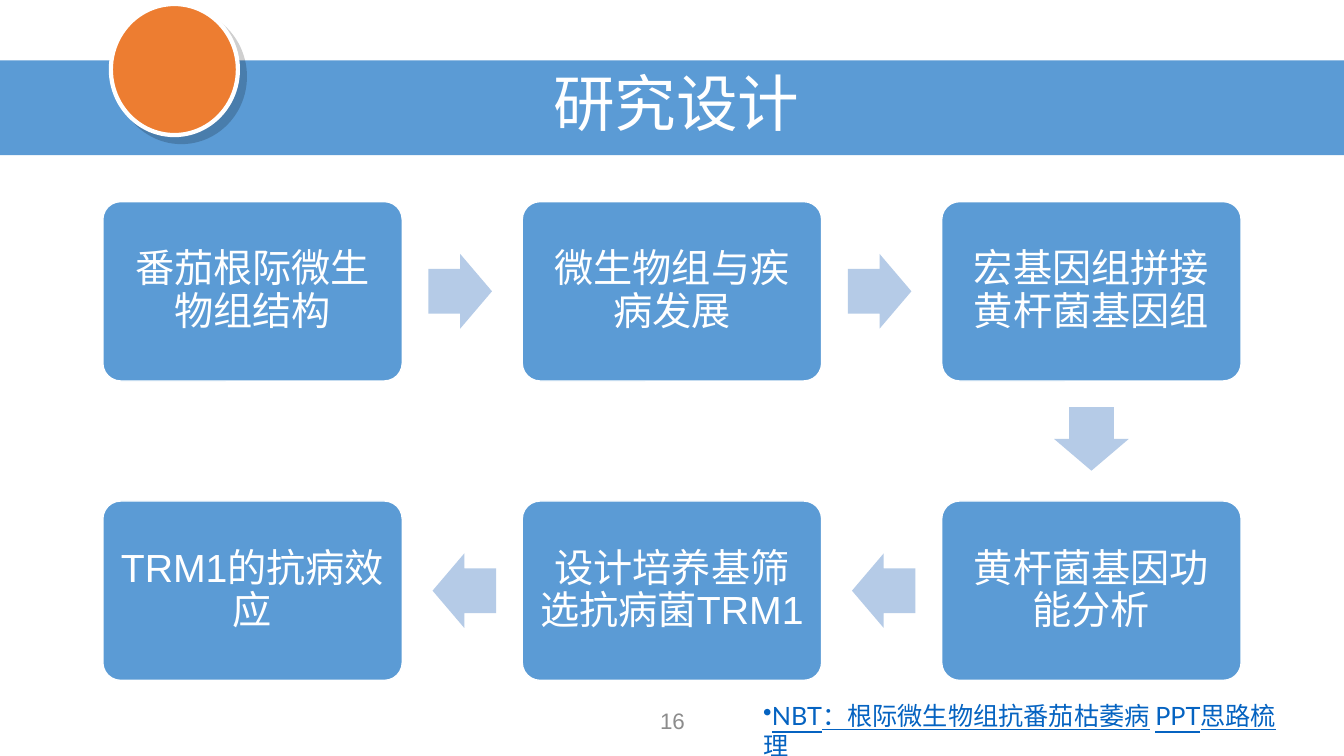
from lxml import etree
from pptx import Presentation
from pptx.dml.color import RGBColor
from pptx.enum.shapes import MSO_SHAPE
from pptx.enum.text import MSO_ANCHOR, MSO_AUTO_SIZE, PP_ALIGN
from pptx.oxml import parse_xml
from pptx.oxml.ns import nsdecls, qn
from pptx.util import Inches, Pt

RECTANGLE, ELLIPSE = MSO_SHAPE.RECTANGLE, MSO_SHAPE.OVAL
ROUNDED, ARROW = MSO_SHAPE.ROUNDED_RECTANGLE, MSO_SHAPE.RIGHT_ARROW
MIDDLE, CENTER = MSO_ANCHOR.MIDDLE, PP_ALIGN.CENTER
GROW = MSO_AUTO_SIZE.SHAPE_TO_FIT_TEXT

BLUE = RGBColor(0x5B, 0x9B, 0xD5)
PALE_BLUE = RGBColor(0xB5, 0xCB, 0xE7)
ORANGE = RGBColor(0xED, 0x7D, 0x31)
WHITE = RGBColor(0xFF, 0xFF, 0xFF)
GREY = RGBColor(0x8C, 0x8C, 0x8C)
DARK = RGBColor(0x24, 0x29, 0x2E)
LINK_BLUE = RGBColor(0x05, 0x63, 0xC1)

WIDTH, HEIGHT = 13.33, 7.5
STEP_WIDTH, STEP_HEIGHT = 2.97, 1.78
ARROW_LENGTH, ARROW_BREADTH, ARROW_GAP = 0.63, 0.74, 0.26
ROTATION = {(1, 0): 0, (0, 1): 90, (-1, 0): 180}
STEPS = [
    ("番茄根际微生物组结构", 0, 0),
    ("微生物组与疾病发展", 1, 0),
    ("宏基因组拼接黄杆菌基因组", 2, 0),
    ("黄杆菌基因功能分析", 2, 1),
    ("设计培养基筛选抗病菌TRM1", 1, 1),
    ("TRM1的抗病效应", 0, 1),
]
LINK_SPANS = [
    ("NBT：根际微生物组抗番茄枯萎病", LINK_BLUE, True),
    (" ", DARK, False),
    ("PPT思路梳理", LINK_BLUE, True),
]


def add_figure(page, kind, box, fill, line_width=0):
    shape = page.shapes.add_shape(kind, *map(Inches, box))
    shape.shadow.inherit = False
    shape.fill.solid()
    shape.fill.fore_color.rgb = fill
    if line_width:
        shape.line.color.rgb = WHITE
        shape.line.width = Pt(line_width)
    else:
        shape.line.fill.background()
    return shape


def write_centered(shape, text, size, color, spacing=1.0):
    frame = shape.text_frame
    frame.word_wrap = True
    frame.vertical_anchor = MIDDLE
    frame.text = text
    para = frame.paragraphs[0]
    para.alignment = CENTER
    para.line_spacing = spacing
    para.font.size = Pt(size)
    para.font.name = "Arial"
    para.font.color.rgb = color


def add_header(page, left, top, width, height):
    add_figure(page, RECTANGLE, (left, top, width, height), BLUE)
    badge = add_figure(page, ELLIPSE, (left + 1.1, top - 0.56, 1.26, 1.3), ORANGE, 3)
    effects = badge._element.spPr.find(qn("a:effectLst"))
    effects.append(parse_xml(
        f'<a:outerShdw {nsdecls("a")} blurRad="0" dist="{Pt(7.1)}" dir="2700000" '
        'algn="tl" rotWithShape="0"><a:srgbClr val="000000">'
        '<a:alpha val="19000"/></a:srgbClr></a:outerShdw>'))
    title = page.shapes.add_textbox(
        Inches(left + 0.96), Inches(top - 0.12), Inches(11.5), Inches(1.16))
    write_centered(title, "研究设计", 44, WHITE, 0.9)


def add_step(page, text, left, top):
    step = add_figure(page, ROUNDED, (left, top, STEP_WIDTH, STEP_HEIGHT), BLUE, 1)
    step.adjustments[0] = 0.1
    frame = step.text_frame
    frame.margin_left = frame.margin_right = Inches(0.12)
    frame.margin_top = frame.margin_bottom = Inches(0.12)
    write_centered(step, text, 28, WHITE, 0.9)


def add_flow_arrow(page, left, top, direction):
    across, down = direction
    reach = ARROW_GAP + ARROW_LENGTH / 2
    center_x = left + STEP_WIDTH / 2 + across * (STEP_WIDTH / 2 + reach)
    center_y = top + STEP_HEIGHT / 2 + down * (STEP_HEIGHT / 2 + reach)
    box = (center_x - ARROW_LENGTH / 2, center_y - ARROW_BREADTH / 2,
           ARROW_LENGTH, ARROW_BREADTH)
    arrow = add_figure(page, ARROW, box, PALE_BLUE)
    arrow.adjustments[0] = 0.6
    arrow.adjustments[1] = 0.5
    arrow.rotation = ROTATION[direction]


def add_flow(page, left, top, width, height):
    column_pitch = (width - STEP_WIDTH) / 2
    row_pitch = height - STEP_HEIGHT
    for index, (text, column, row) in enumerate(STEPS):
        step_left = left + column * column_pitch
        step_top = top + row * row_pitch
        add_step(page, text, step_left, step_top)
        if index + 1 < len(STEPS):
            following = STEPS[index + 1]
            direction = (following[1] - column, following[2] - row)
            add_flow_arrow(page, step_left, step_top, direction)


def add_footer(page, left, top, width, height):
    number = page.shapes.add_textbox(
        Inches(left), Inches(top), Inches(4.5), Inches(height))
    write_centered(number, "16", 16, GREY)
    link = page.shapes.add_textbox(
        Inches(left + width - 5.44), Inches(top - 0.05), Inches(5.44), Inches(height))
    frame = link.text_frame
    frame.word_wrap = True
    frame.auto_size = GROW
    para = frame.paragraphs[0]
    bullet = etree.SubElement(para._p.get_or_add_pPr(), qn("a:buChar"))
    bullet.set("char", "•")
    for text, color, underline in LINK_SPANS:
        span = para.add_run()
        span.text = text
        span.font.size = Pt(18)
        span.font.name = "Lato"
        span.font.color.rgb = color
        span.font.underline = underline


def main():
    deck = Presentation()
    deck.slide_width, deck.slide_height = Inches(WIDTH), Inches(HEIGHT)
    page = deck.slides.add_slide(deck.slide_layouts[6])
    add_header(page, 0, 0.6, WIDTH, 0.94)
    add_flow(page, 1.02, 2, 11.29, 4.75)
    add_footer(page, 4.42, 6.95, 8.49, 0.4)
    deck.save("out.pptx")


if __name__ == "__main__":
    main()
